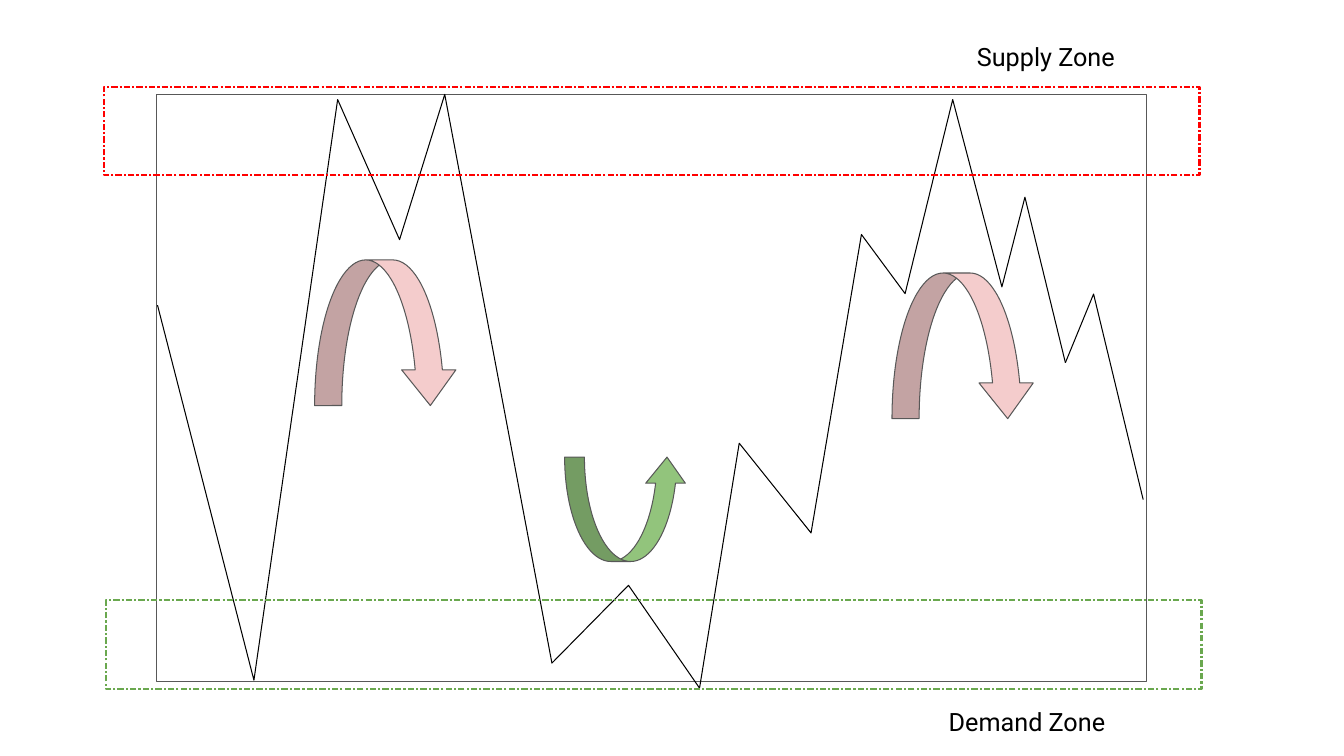
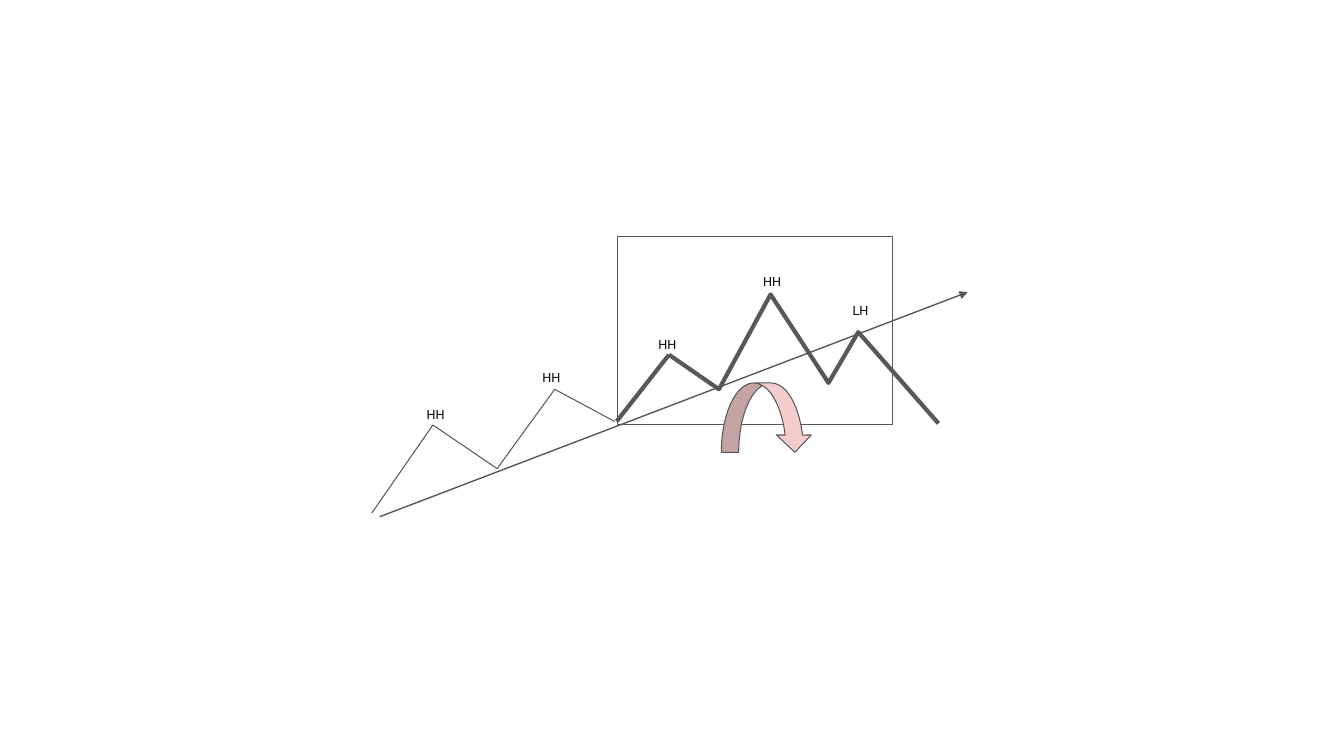
from dataclasses import dataclass

from lxml.etree import SubElement
from pptx import Presentation
from pptx.dml.color import RGBColor
from pptx.enum.shapes import MSO_CONNECTOR, MSO_SHAPE
from pptx.oxml.ns import qn
from pptx.util import Cm, Pt

BLACK = RGBColor(0x00, 0x00, 0x00)
GRAY = RGBColor(0x58, 0x58, 0x58)
RED = RGBColor(0xFF, 0x00, 0x00)
GREEN = RGBColor(0x6A, 0xA8, 0x4F)
PINK = RGBColor(0xF4, 0xCC, 0xCC)
LIGHT_GREEN = RGBColor(0x92, 0xC4, 0x7C)

FONT = "Roboto"
THIN = {"width": Pt(0.75)}
THICK = {"width": Pt(3)}
TREND = {"width": Pt(1)}
ZONE = {"width": Pt(1.5)}
LABEL_FRAME = {
    "margin_left": Cm(0.03), "margin_right": 0,
    "margin_top": Cm(0.03), "margin_bottom": 0, "word_wrap": False,
}

SLIM_ARROW = (0.19, 0.38, 0.25)
WIDE_ARROW = (0.25, 0.5, 0.25)

PRICE_PATH = [
    (0.03, 5.31), (2.46, 14.76), (4.57, 0.13), (6.13, 3.66), (7.27, 0),
    (9.97, 14.33), (11.9, 12.37), (13.69, 14.96), (14.69, 8.79), (16.5, 11.05),
    (17.77, 3.53), (18.87, 5.02), (20.07, 0.13), (21.31, 4.85), (21.89, 2.59),
    (22.91, 6.76),
]
PRICE_END = [(22.91, 6.76), (23.62, 5.03), (24.87, 10.21)]
EARLY_SWINGS = [(0, 6.96), (1.54, 4.74), (3.16, 5.84), (4.61, 3.84), (6.12, 4.65)]
BREAKOUT = [(6.17, 4.65), (7.49, 2.97)]
LATE_SWINGS = [
    (7.49, 2.97), (8.75, 3.84), (10.05, 1.45),
    (11.51, 3.68), (12.26, 2.4), (14.28, 4.7),
]
PEAK_LABELS = [
    ("HH", 1.35, 4.25), ("HH", 4.27, 3.33), ("HH", 7.19, 2.49),
    ("HH", 9.83, 0.9), ("LH", 12.09, 1.63),
]


@dataclass
class Box:
    """A region in centimetres, from which smaller boxes are measured."""

    left: float
    top: float
    width: float
    height: float

    def inner(self, left, top, width=0, height=0):
        """Return a box placed relative to this one."""
        return Box(self.left + left, self.top + top, width, height)

    def lengths(self):
        """Return left, top, width and height as slide lengths."""
        return Cm(self.left), Cm(self.top), Cm(self.width), Cm(self.height)


def apply_format(target, values):
    """Set each attribute named in a dict of format values."""
    for name, value in values.items():
        setattr(target, name, value)


def style_line(shape, color, line_format):
    """Give an outline its colour and format."""
    shape.line.color.rgb = color
    apply_format(shape.line, line_format)


def add_frame(page, box, color, line_format):
    """Add an unfilled rectangle and return it."""
    frame = page.shapes.add_shape(MSO_SHAPE.RECTANGLE, *box.lengths())
    frame.shadow.inherit = False
    frame.fill.background()
    style_line(frame, color, line_format)
    return frame


def add_zone(page, box, color):
    """Add a rectangle with a fine dash-dot outline."""
    zone = add_frame(page, box, color, ZONE)
    SubElement(zone.line._get_or_add_ln(), qn("a:prstDash"), val="sysDashDot")


def add_zigzag(page, box, points, color, line_format):
    """Add an open line through points measured from the box."""
    start, *rest = [box.inner(*point).lengths()[:2] for point in points]
    builder = page.shapes.build_freeform(*start, scale=1.0)
    builder.add_line_segments(rest, close=False)
    zigzag = builder.convert_to_shape()
    zigzag.shadow.inherit = False
    zigzag.fill.background()
    style_line(zigzag, color, line_format)


def add_turn_arrow(page, box, preset, color, proportions):
    """Add a curved arrow that marks a reversal."""
    arrow = page.shapes.add_shape(preset, *box.lengths())
    arrow.shadow.inherit = False
    arrow.fill.solid()
    arrow.fill.fore_color.rgb = color
    style_line(arrow, GRAY, THIN)
    for index, proportion in enumerate(proportions):
        arrow.adjustments[index] = proportion


def add_trend_line(page, box, start, end):
    """Add a straight line with an arrowhead at its end."""
    ends = [length for point in (start, end) for length in box.inner(*point).lengths()[:2]]
    trend = page.shapes.add_connector(MSO_CONNECTOR.STRAIGHT, *ends)
    style_line(trend, GRAY, TREND)
    SubElement(trend.line._get_or_add_ln(), qn("a:tailEnd"), type="triangle")
    SubElement(trend._element.spPr, qn("a:effectLst"))


def add_label(page, box, text, size):
    """Add one line of black text."""
    frame = page.shapes.add_textbox(*box.lengths()).text_frame
    apply_format(frame, LABEL_FRAME)
    para = frame.paragraphs[0]
    para.space_before = Pt(1)
    span = para.add_run()
    span.text = text
    apply_format(span.font, {"name": FONT, "size": Pt(size)})
    span.font.color.rgb = BLACK


def draw_zones(page, box):
    """Draw price swings between a supply and a demand zone."""
    add_frame(page, box, GRAY, THIN)
    for points in (PRICE_PATH, PRICE_END):
        add_zigzag(page, box, points, BLACK, THIN)
    for left, top, color in ((-1.27, 12.75, GREEN), (-1.32, -0.19, RED)):
        add_zone(page, box.inner(left, top, 27.61, 2.23), color)
    for left, top in ((3.99, 4.17), (18.54, 4.5)):
        place = box.inner(left, top, 3.6, 3.67)
        add_turn_arrow(page, place, MSO_SHAPE.CURVED_DOWN_ARROW, PINK, SLIM_ARROW)
    place = box.inner(10.29, 9.14, 3.08, 2.63)
    add_turn_arrow(page, place, MSO_SHAPE.CURVED_UP_ARROW, LIGHT_GREEN, SLIM_ARROW)
    for text, left, top in (("Demand Zone", 19.94, 15.39), ("Supply Zone", 20.65, -1.36)):
        add_label(page, box.inner(left, top, 5.7, 0.81), text, 18)


def draw_trend(page, box):
    """Draw a rising trend that ends in a lower high."""
    add_zigzag(page, box, EARLY_SWINGS, GRAY, THIN)
    for points in (BREAKOUT, LATE_SWINGS):
        add_zigzag(page, box, points, GRAY, THICK)
    for text, left, top in PEAK_LABELS:
        add_label(page, box.inner(left, top, 0.53, 0.46), text, 9)
    add_trend_line(page, box, (0.2, 7.05), (15.02, 1.39))
    add_frame(page, box.inner(6.19, 0, 6.94, 4.72), GRAY, THIN)
    place = box.inner(8.81, 3.68, 2.29, 1.75)
    add_turn_arrow(page, place, MSO_SHAPE.CURVED_DOWN_ARROW, PINK, WIDE_ARROW)


def main():
    """Build the deck and save it."""
    deck = Presentation()
    apply_format(deck, {"slide_width": Cm(33.87), "slide_height": Cm(19.05)})
    pages = (
        (draw_zones, Box(3.94, 2.38, 24.95, 14.8)),
        (draw_trend, Box(9.37, 5.97, 15.01, 7.05)),
    )
    for draw, box in pages:
        draw(deck.slides.add_slide(deck.slide_layouts[6]), box)
    deck.save("out.pptx")


if __name__ == "__main__":
    main()
